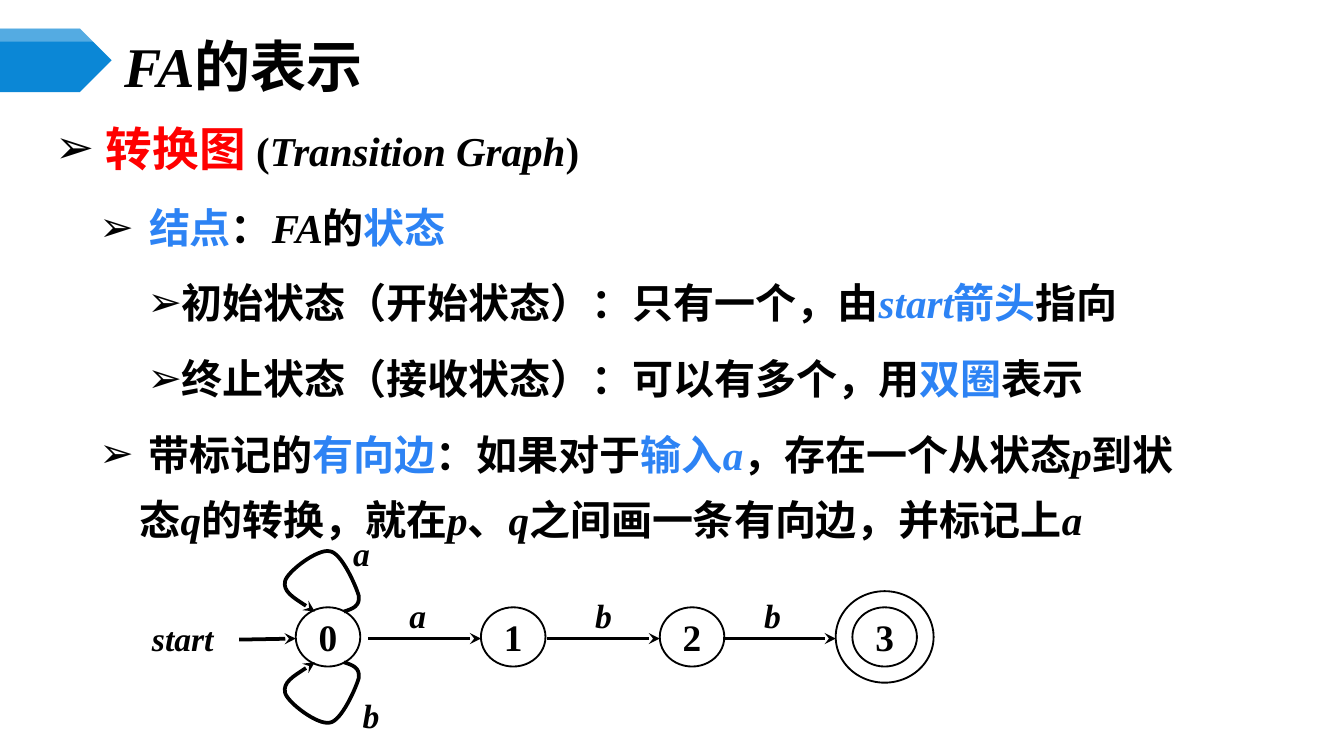
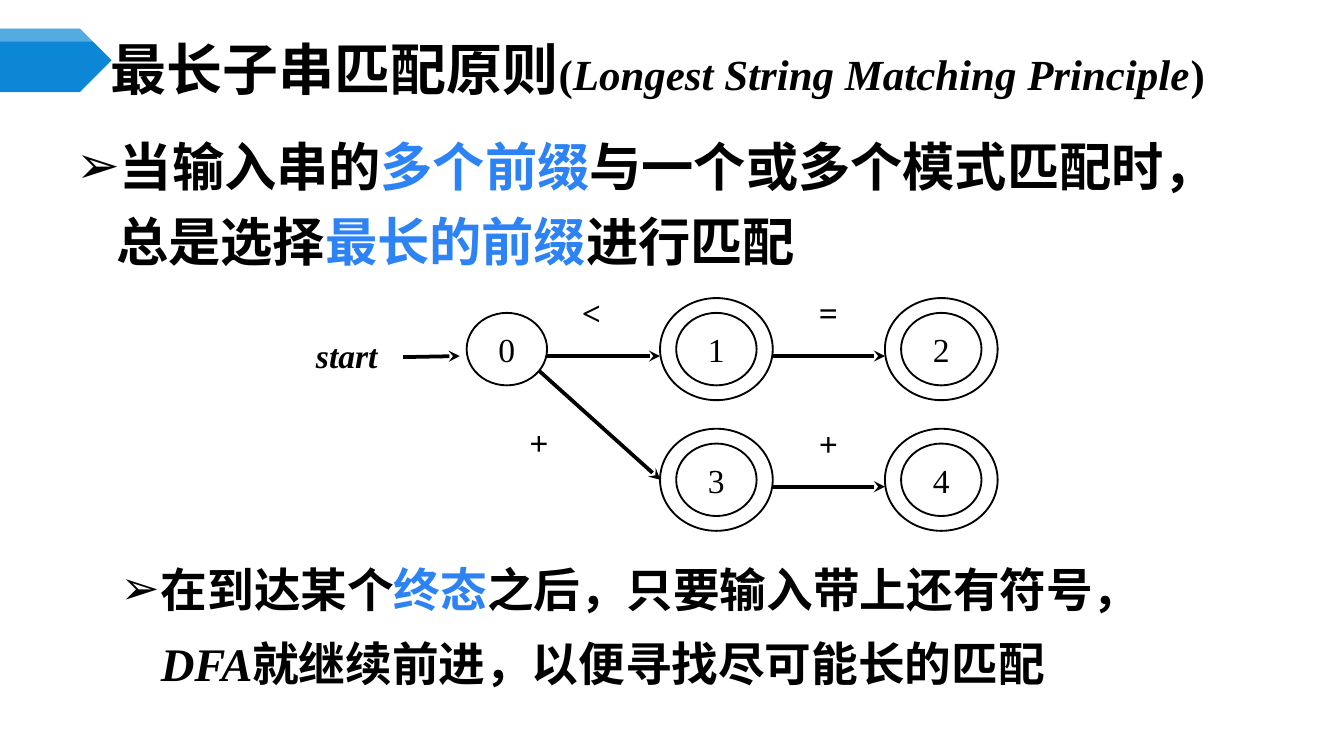
from dataclasses import dataclass

from lxml import etree
from pptx import Presentation
from pptx.dml.color import RGBColor
from pptx.enum.shapes import MSO_CONNECTOR, MSO_SHAPE
from pptx.enum.text import MSO_ANCHOR, MSO_AUTO_SIZE, PP_ALIGN
from pptx.oxml.ns import qn
from pptx.util import Cm, Pt

COLORS = {
    "text": "000000",
    "key": "FF0000",
    "accent": "2D83F4",
    "band": "0B87D6",
    "paper": "FFFFFF",
}
LATIN = "Times New Roman"
CHINESE = "Noto Sans CJK SC"
LABEL_WIDTH, LABEL_HEIGHT = 2.13, 1.09
EDGE_LENGTH = 2.13
LOOP_CURVE = [
    (0.30, 0), (0.46, 0.05), (0.61, 0.10), (0.58, 0.30), (0.53, 0.48),
    (0.25, 1.12), (0.03, 1.14), (-0.20, 1.19), (-0.76, 0.76),
    (-0.81, 0.58), (-0.86, 0.38), (-0.56, 0.20), (-0.25, 0),
]


@dataclass
class Box:
    left: float
    top: float
    width: float
    height: float

    def cm(self):
        return Cm(self.left), Cm(self.top), Cm(self.width), Cm(self.height)


@dataclass
class StateStyle:
    inner: tuple
    outer: tuple
    size: int
    bold: bool
    edge_drop: float
    label_rise: float


def rgb(name):
    return RGBColor.from_string(COLORS[name])


def set_font(font, size, bold=True, italic=False, color="text", name=LATIN):
    font.size, font.bold, font.italic, font.name = Pt(size), bold, italic, name
    font.color.rgb = rgb(color)


def add_runs(paragraph, runs, size):
    for text, style, *own_size in runs:
        run = paragraph.add_run()
        run.text = text
        color = next((name for name in ("key", "accent") if name in style), "text")
        set_font(run.font, *(own_size or [size]), italic="italic" in style,
                 color=color, name=CHINESE if "chinese" in style else LATIN)
        etree.SubElement(run._r.get_or_add_rPr(), qn("a:ea"), typeface=CHINESE)


def prepare_frame(frame, anchor, wrap=True):
    frame.auto_size = MSO_AUTO_SIZE.NONE
    frame.word_wrap = wrap
    frame.vertical_anchor = anchor
    frame.margin_left = frame.margin_right = Cm(0.25)
    frame.margin_top = frame.margin_bottom = Cm(0.13)


def place(placeholder, box):
    placeholder.left, placeholder.top, placeholder.width, placeholder.height = box.cm()


def add_title(slide, box, runs):
    title = slide.shapes.title
    place(title, box)
    prepare_frame(title.text_frame, MSO_ANCHOR.MIDDLE)
    paragraph = title.text_frame.paragraphs[0]
    paragraph.alignment = PP_ALIGN.LEFT
    add_runs(paragraph, runs, 30)


def add_bullets(slide, box, line_height, bullets):
    body = slide.placeholders[1]
    place(body, box)
    frame = body.text_frame
    prepare_frame(frame, MSO_ANCHOR.TOP)
    indents = [(0.76, -0.76), (1.6, -0.76), (2.39, -0.64)]
    for index, (level, size, space_before, runs) in enumerate(bullets):
        paragraph = frame.add_paragraph() if index else frame.paragraphs[0]
        paragraph.level = level
        paragraph.alignment = PP_ALIGN.LEFT
        paragraph.line_spacing = Pt(line_height)
        paragraph.space_before = Pt(space_before)
        properties = paragraph._p.get_or_add_pPr()
        margin, hanging = indents[level]
        properties.set("marL", str(Cm(margin)))
        properties.set("indent", str(Cm(hanging)))
        bullet_color = etree.SubElement(properties, qn("a:buClr"))
        etree.SubElement(bullet_color, qn("a:srgbClr"), val=COLORS["text"])
        etree.SubElement(properties, qn("a:buChar"), char="➢")
        add_runs(paragraph, runs, size)


def add_polygon(shapes, points, color):
    builder = shapes.build_freeform(*map(Cm, points[0]))
    builder.add_line_segments([(Cm(x), Cm(y)) for x, y in points[1:]])
    polygon = builder.convert_to_shape()
    polygon.shadow.inherit = False
    polygon.fill.solid()
    polygon.fill.fore_color.rgb = rgb(color)
    polygon.line.fill.background()
    return polygon


def add_title_band(slide, box):
    shapes = slide.shapes.add_group_shape().shapes
    right, bottom = box.left + box.width, box.top + box.height
    shoulder = right - box.height / 2
    add_polygon(shapes, [(box.left, box.top), (shoulder, box.top),
                         (right, box.top + box.height / 2),
                         (shoulder, bottom), (box.left, bottom)], "band")
    gloss_height = 0.25
    gloss_shoulder = right - gloss_height / 2
    gloss = add_polygon(shapes, [
        (box.left, box.top), (gloss_shoulder, box.top),
        (right, box.top + gloss_height / 2),
        (gloss_shoulder, box.top + gloss_height),
        (box.left, box.top + gloss_height)], "paper")
    fill_color = gloss.element.spPr.find(qn("a:solidFill"))[0]
    etree.SubElement(fill_color, qn("a:alpha"), val="30000")


class Automaton:
    def __init__(self, slide, box, style):
        self.shapes = slide.shapes.add_group_shape().shapes
        self.box = box
        self.style = style

    def point(self, x, y):
        return Cm(self.box.left + x), Cm(self.box.top + y)

    def finish_line(self, stroke):
        stroke.line.color.rgb = rgb("text")
        stroke.line.width = Pt(2)
        etree.SubElement(stroke.element.spPr.find(qn("a:ln")), qn("a:tailEnd"),
                         type="stealth")

    def arrow(self, start, end):
        arrow = self.shapes.add_connector(
            MSO_CONNECTOR.STRAIGHT, *self.point(*start), *self.point(*end))
        self.finish_line(arrow)
        etree.SubElement(arrow.element.spPr, qn("a:effectLst"))

    def label(self, x, y, text, italic):
        label = self.shapes.add_textbox(*self.point(x, y), Cm(LABEL_WIDTH), Cm(LABEL_HEIGHT))
        prepare_frame(label.text_frame, MSO_ANCHOR.MIDDLE, wrap=False)
        paragraph = label.text_frame.paragraphs[0]
        paragraph.text = text
        paragraph.alignment = PP_ALIGN.CENTER
        set_font(paragraph.font, 18, italic=italic)

    def ring(self, x, y, size):
        width, height = size
        ring = self.shapes.add_shape(
            MSO_SHAPE.OVAL, *self.point(x - width / 2, y - height / 2),
            Cm(width), Cm(height))
        ring.shadow.inherit = False
        ring.fill.background()
        ring.line.color.rgb = rgb("text")
        ring.line.width = Pt(1)
        return ring

    def state(self, x, y, name, final=False):
        if final:
            self.ring(x, y, self.style.outer)
        state = self.ring(x, y, self.style.inner)
        state.fill.solid()
        state.fill.fore_color.rgb = rgb("paper")
        prepare_frame(state.text_frame, MSO_ANCHOR.MIDDLE, wrap=False)
        paragraph = state.text_frame.paragraphs[0]
        paragraph.text = name
        paragraph.alignment = PP_ALIGN.CENTER
        set_font(paragraph.font, self.style.size, bold=self.style.bold)

    def start(self, state_y):
        y = state_y + self.style.edge_drop
        self.label(0, y - 0.56, "start", italic=True)
        self.arrow((2.13, y + 0.02), (3.2, y))

    def edge_into(self, x, y, symbol, final, italic, label_shift=0):
        ring = self.style.outer if final else self.style.inner
        end = x - ring[0] / 2
        start = end - EDGE_LENGTH
        y += self.style.edge_drop
        self.arrow((start, y), (end, y))
        self.label(start + label_shift, y - self.style.label_rise, symbol, italic)

    def loop(self, x, y, side):
        points = [self.point(x + dx, y + side * (0.48 + rise)) for dx, rise in LOOP_CURVE]
        builder = self.shapes.build_freeform(*points[0])
        builder.add_line_segments(points[1:], close=False)
        loop = builder.convert_to_shape()
        outline = next(loop.element.iter(qn("a:path")))
        segments = outline.findall(qn("a:lnTo"))
        for first in range(0, len(segments), 3):
            curve = etree.SubElement(outline, qn("a:cubicBezTo"))
            for segment in segments[first:first + 3]:
                curve.append(segment[0])
                outline.remove(segment)
        loop.shadow.inherit = False
        loop.fill.background()
        self.finish_line(loop)


def draw_transition_graph(slide, box):
    graph = Automaton(slide, box, StateStyle((1.22, 1.12), (1.85, 1.73), 20, True, 0.03, 0.98))
    first_x, y = 3.81, 2.13
    graph.start(y)
    graph.state(first_x, y, "0")
    for side, symbol, label_at in [(-1, "a", (3.38, 0)), (1, "b", (3.56, 3.07))]:
        graph.loop(first_x, y, side)
        graph.label(*label_at, symbol, italic=True)
    for x, name, symbol, final, shift in [(7.31, "1", "a", False, -0.13),
                                          (10.69, "2", "b", False, 0),
                                          (14.33, "3", "b", True, -0.13)]:
        graph.edge_into(x, y, symbol, final, True, shift)
        graph.state(x, y, name, final)


def draw_operator_graph(slide, box):
    graph = Automaton(slide, box, StateStyle((1.52, 1.37), (2.13, 1.93), 18, False, 0.13, 1.37))
    first_x, middle_x, last_x = 4.09, 8.05, 12.3
    upper, lower = 1.24, 3.71
    graph.start(upper)
    graph.state(first_x, upper, "0")
    graph.arrow((4.7, 1.65), (6.99, 3.71))
    graph.label(3.63, 2.46, "+", italic=False)
    graph.state(middle_x, lower, "3", final=True)
    for x, y, name, symbol, shift in [(middle_x, upper, "1", "<", -0.23),
                                      (last_x, upper, "2", "=", 0),
                                      (last_x, lower, "4", "+", 0)]:
        graph.edge_into(x, y, symbol, True, False, shift)
        graph.state(x, y, name, final=True)


def add_slide(deck, title_box, title_runs, body_box, line_height, bullets):
    slide = deck.slides.add_slide(deck.slide_layouts[1])
    add_bullets(slide, body_box, line_height, bullets)
    add_title_band(slide, Box(0, 0.54, 2.11, 1.2))
    add_title(slide, title_box, title_runs)
    return slide


def main():
    deck = Presentation()
    deck.slide_width, deck.slide_height = Cm(25.4), Cm(14.29)

    representation = add_slide(
        deck, Box(2.11, 0.74, 22.02, 0.99), [("FA", "italic"), ("的表示", "")],
        Box(0.79, 1.96, 22.43, 8.97), 35, [
            (0, 22, 5.5, [(" ", "chinese", 25), ("转换图 ", "key chinese", 25), ("(", ""),
                          ("Transition Graph", "italic"), (")", "")]),
            (1, 22, 5.5, [(" ", ""), ("结点", "accent"), ("：", ""), ("FA", "italic"),
                          ("的", ""), ("状态", "accent")]),
            (2, 22, 5.5, [("初始状态（开始状态）：只有一个，由", ""),
                          ("start", "accent italic"), ("箭头", "accent"), ("指向", "")]),
            (2, 22, 5.5, [("终止状态（接收状态）：可以有多个，用", ""),
                          ("双圈", "accent"), ("表示", "")]),
            (1, 22, 5.5, [(" 带标记的", ""), ("有向边", "accent"), ("：如果对于", ""),
                          ("输入", "accent"), ("a", "accent italic"),
                          ("，存在一个从状态", ""), ("p", "italic"), ("到状 态", ""),
                          ("q", "italic"), ("的转换，就在", ""), ("p", "italic"),
                          ("、", ""), ("q", "italic"),
                          ("之间画一条有向边，并标记上", ""), ("a", "italic")]),
        ])
    draw_transition_graph(representation, Box(2.39, 9.91, 15.3, 4.2))

    longest_match = add_slide(
        deck, Box(1.6, 0.79, 23.29, 0.99),
        [(" 最长子串匹配原则", "chinese"), ("(", "", 23),
         ("Longest String Matching Principle", "italic", 23), (")", "", 23)],
        Box(1.19, 2.18, 22, 11.76), 40, [
            (0, 28, 7, [("当输入串的", ""), ("多个前缀", "accent"),
                        ("与一个或多个模式匹配时，总是选择", ""),
                        ("最长的前缀", "accent"), ("进行匹配", "")]),
            (1, 25, 144.8, [("在到达某个", ""), ("终态", "accent"),
                            ("之后，只要输入带上还有符号，", ""), ("DFA", "italic"),
                            ("就继续前进，以便寻找尽可能长的匹配", "")]),
        ])
    draw_operator_graph(longest_match, Box(5.49, 5.36, 13.4, 4.7))

    deck.save("out.pptx")


if __name__ == "__main__":
    main()
